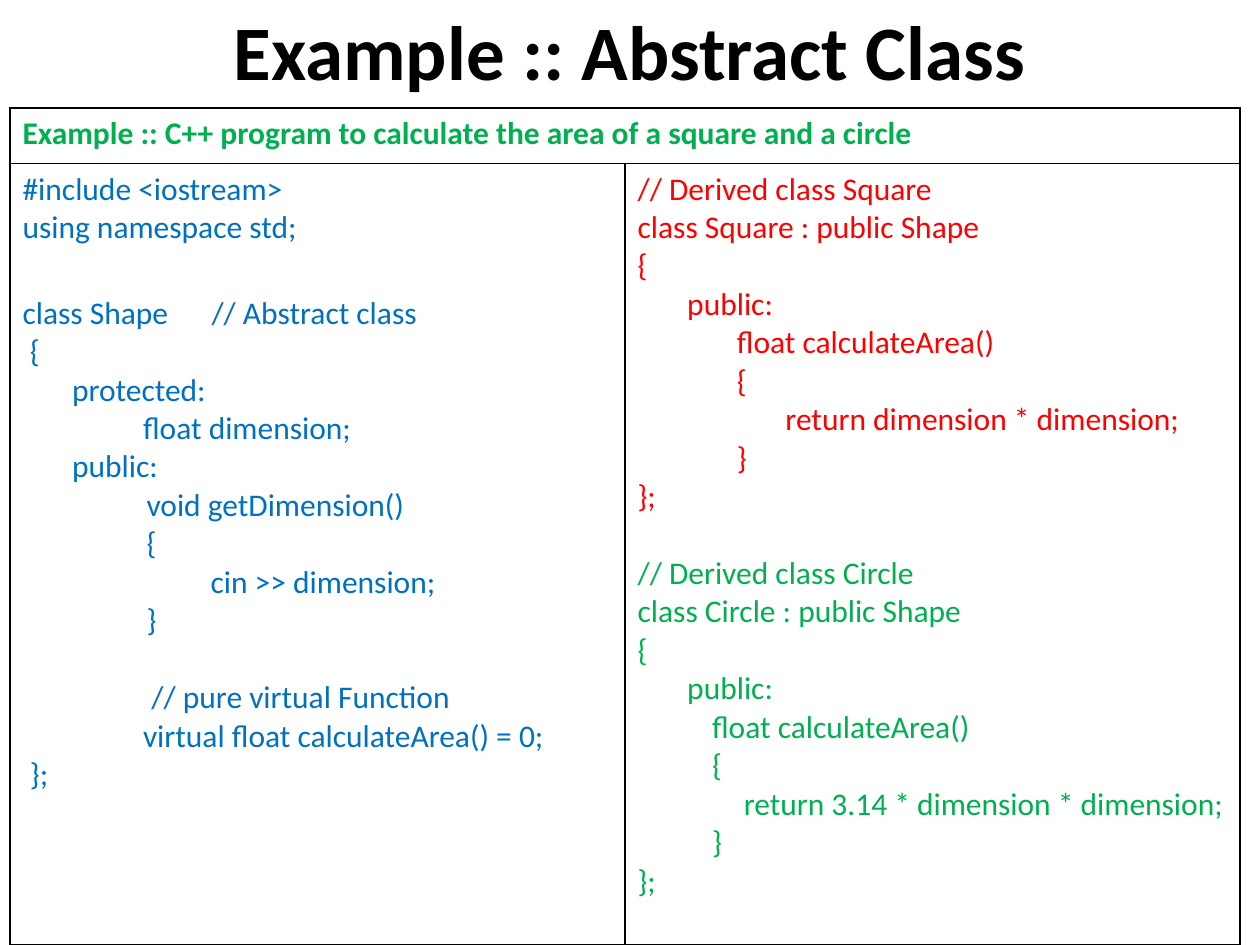
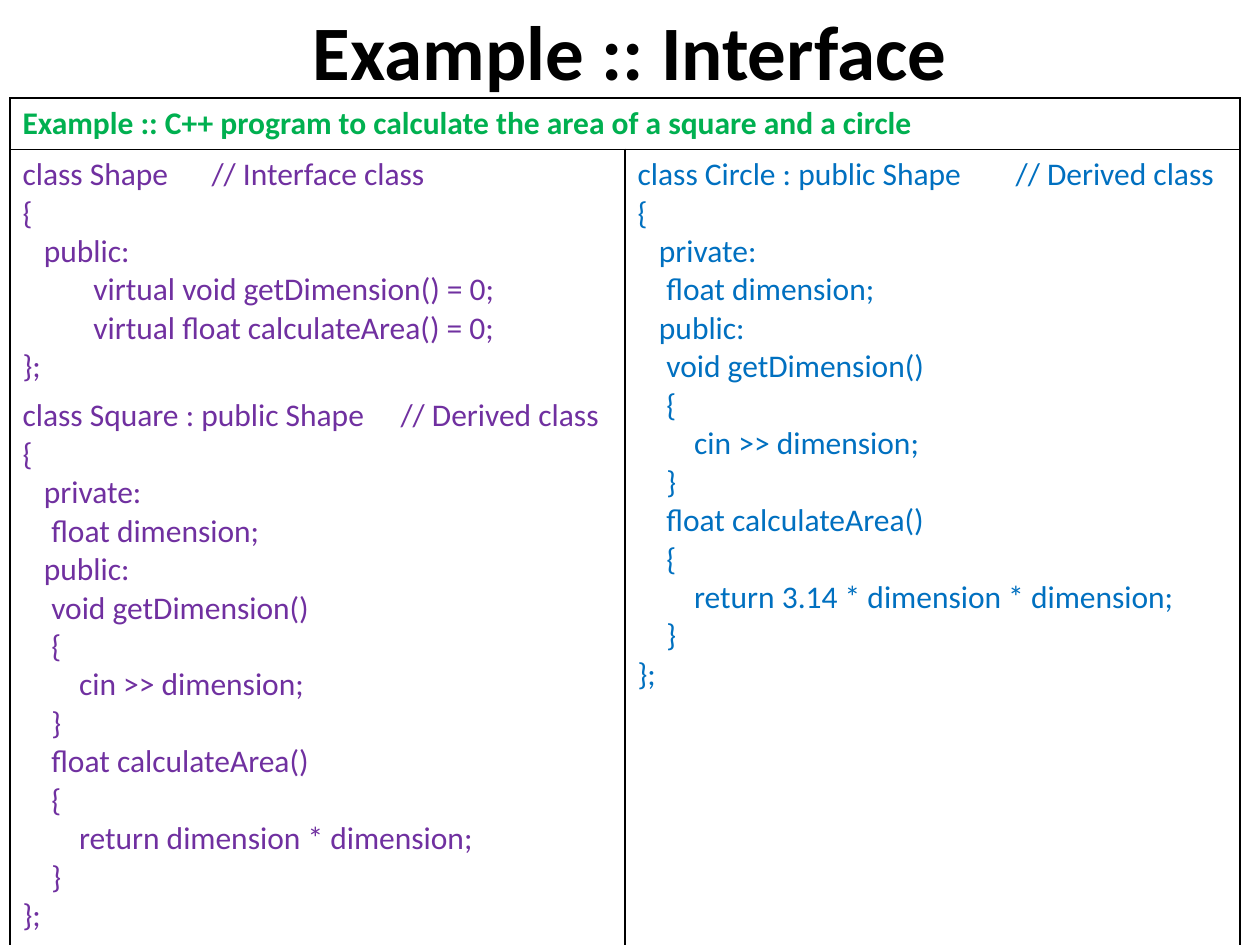
from dataclasses import dataclass

from lxml import etree
from pptx import Presentation
from pptx.dml.color import RGBColor
from pptx.enum.text import MSO_ANCHOR, PP_ALIGN
from pptx.oxml.ns import qn
from pptx.util import Cm, Pt

CENTER = PP_ALIGN.CENTER
MIDDLE = MSO_ANCHOR.MIDDLE
BLANK_LAYOUT = 6

COLORS = {
    "black": "000000",
    "white": "FFFFFF",
    "green": "00B050",
    "blue": "0070C0",
    "red": "FF0000",
    "purple": "7030A0",
}
FORMATS = {
    "title": {"name": "Calibri", "size": Pt(44), "bold": True},
    "heading": {"name": "Calibri", "size": Pt(18), "bold": True},
    "code": {"name": "Calibri", "size": Pt(18), "bold": False},
}
HEADING = "Example :: C++ program to calculate the area of a square and a circle"
COLUMN_WIDTH = 12.4


@dataclass
class Line:
    text: str
    indent: float = 0
    gap: float = 0
    tab: float = 0


class Deck:
    def __init__(self):
        self.presentation = Presentation()
        self.presentation.slide_width = Cm(25.4)
        self.presentation.slide_height = Cm(19.05)
        self.slide = None

    def add_slide(self, title):
        layout = self.presentation.slide_layouts[BLANK_LAYOUT]
        self.slide = self.presentation.slides.add_slide(layout)
        shape = self.slide.shapes.add_textbox(Cm(0), Cm(-0.58), Cm(25.4), Cm(3.18))
        frame = shape.text_frame
        frame.word_wrap = True
        frame.vertical_anchor = MIDDLE
        paragraph = frame.paragraphs[0]
        paragraph.alignment = CENTER
        self.add_text(paragraph, title, "title", "black")

    def add_text(self, paragraph, text, style, color):
        run = paragraph.add_run()
        run.text = text
        for attribute, value in FORMATS[style].items():
            setattr(run.font, attribute, value)
        run.font.color.rgb = RGBColor.from_string(COLORS[color])

    def add_line(self, paragraph, line, style, color):
        paragraph.space_before = Pt(line.gap)
        properties = paragraph._p.get_or_add_pPr()
        properties.set("marL", str(Cm(line.indent)))
        properties.set("indent", "0")
        if line.tab:
            stops = etree.SubElement(properties, qn("a:tabLst"))
            etree.SubElement(stops, qn("a:tab"), pos=str(Cm(line.tab)), algn="l")
        self.add_text(paragraph, line.text, style, color)

    def fill_cell(self, cell, blocks, style):
        rows = [(line, color) for color, lines in blocks for line in lines]
        frame = cell.text_frame
        for index, (line, color) in enumerate(rows):
            paragraph = frame.add_paragraph() if index else frame.paragraphs[0]
            self.add_line(paragraph, line, style, color)

    def style_cell(self, cell):
        properties = cell._tc.get_or_add_tcPr()
        for side in ("a:lnL", "a:lnR", "a:lnT", "a:lnB"):
            border = etree.SubElement(properties, qn(side), w=str(Pt(1)))
            fill = etree.SubElement(border, qn("a:solidFill"))
            etree.SubElement(fill, qn("a:srgbClr"), val=COLORS["black"])
        cell.fill.solid()
        cell.fill.fore_color.rgb = RGBColor.from_string(COLORS["white"])

    def add_code_table(self, top, row_heights, left_blocks, right_blocks):
        frame = self.slide.shapes.add_table(
            2, 2, Cm(0.2), Cm(top), Cm(2 * COLUMN_WIDTH), Cm(sum(row_heights))
        )
        table = frame.table
        table.first_row = False
        table.horz_banding = False
        for column in table.columns:
            column.width = Cm(COLUMN_WIDTH)
        for row, height in zip(table.rows, row_heights):
            row.height = Cm(height)
        for cell in table.iter_cells():
            self.style_cell(cell)
        table.cell(0, 0).merge(table.cell(0, 1))
        self.fill_cell(table.cell(0, 0), [("green", [Line(HEADING)])], "heading")
        self.fill_cell(table.cell(1, 0), left_blocks, "code")
        self.fill_cell(table.cell(1, 1), right_blocks, "code")


def derived_class(name, area, method_indent, return_indent, gap=0):
    return [
        Line(f"// Derived class {name}", gap=gap),
        Line(f"class {name} : public Shape"),
        Line("{"),
        Line("public:", 1),
        Line("float calculateArea()", method_indent),
        Line("{", method_indent),
        Line(f"return {area};", return_indent),
        Line("}", method_indent),
        Line("};"),
    ]


def implementing_class(name, area, comment_tab, gap=0):
    label, member, body = 0.43, 0.58, 1.14
    return [
        Line(f"class {name} : public Shape\t// Derived class", gap=gap, tab=comment_tab),
        Line("{"),
        Line("private:", label),
        Line("float dimension;", member),
        Line("public:", label),
        Line("void getDimension()", member),
        Line("{", member),
        Line("cin >> dimension;", body),
        Line("}", member),
        Line("float calculateArea()", member),
        Line("{", member),
        Line(f"return {area};", body),
        Line("}", member),
        Line("};"),
    ]


SQUARE_AREA = "dimension * dimension"
CIRCLE_AREA = "3.14 * dimension * dimension"

ABSTRACT_SHAPE = [
    Line("#include <iostream>"),
    Line("using namespace std;"),
    Line("class Shape\t// Abstract class", gap=27, tab=6.1),
    Line("{", 0.15),
    Line("protected:", 1),
    Line("float dimension;", 2.43),
    Line("public:", 1),
    Line("void getDimension()", 2.5),
    Line("{", 2.5),
    Line("cin >> dimension;", 3.79),
    Line("}", 2.5),
    Line("// pure virtual Function", 2.6, gap=22),
    Line("virtual float calculateArea() = 0;", 2.43),
    Line("};", 0.15),
]
INTERFACE_SHAPE = [
    Line("class Shape\t// Interface class", tab=5.24),
    Line("{"),
    Line("public:", 0.43),
    Line("virtual void getDimension() = 0;", 1.43),
    Line("virtual float calculateArea() = 0;", 1.43),
    Line("};"),
]


def main():
    deck = Deck()
    deck.add_slide("Example :: Abstract Class")
    deck.add_code_table(
        2.18,
        (1.12, 15.75),
        [("blue", ABSTRACT_SHAPE)],
        [
            ("red", derived_class("Square", SQUARE_AREA, 2, 2.98)),
            ("green", derived_class("Circle", CIRCLE_AREA, 1.5, 2.14, gap=22)),
        ],
    )
    deck.add_slide("Example :: Interface")
    deck.add_code_table(
        1.98,
        (1.03, 16.1),
        [("purple", INTERFACE_SHAPE + implementing_class("Square", SQUARE_AREA, 7.62, gap=6))],
        [("blue", implementing_class("Circle", CIRCLE_AREA, 7.52))],
    )
    deck.presentation.save("out.pptx")


if __name__ == "__main__":
    main()
